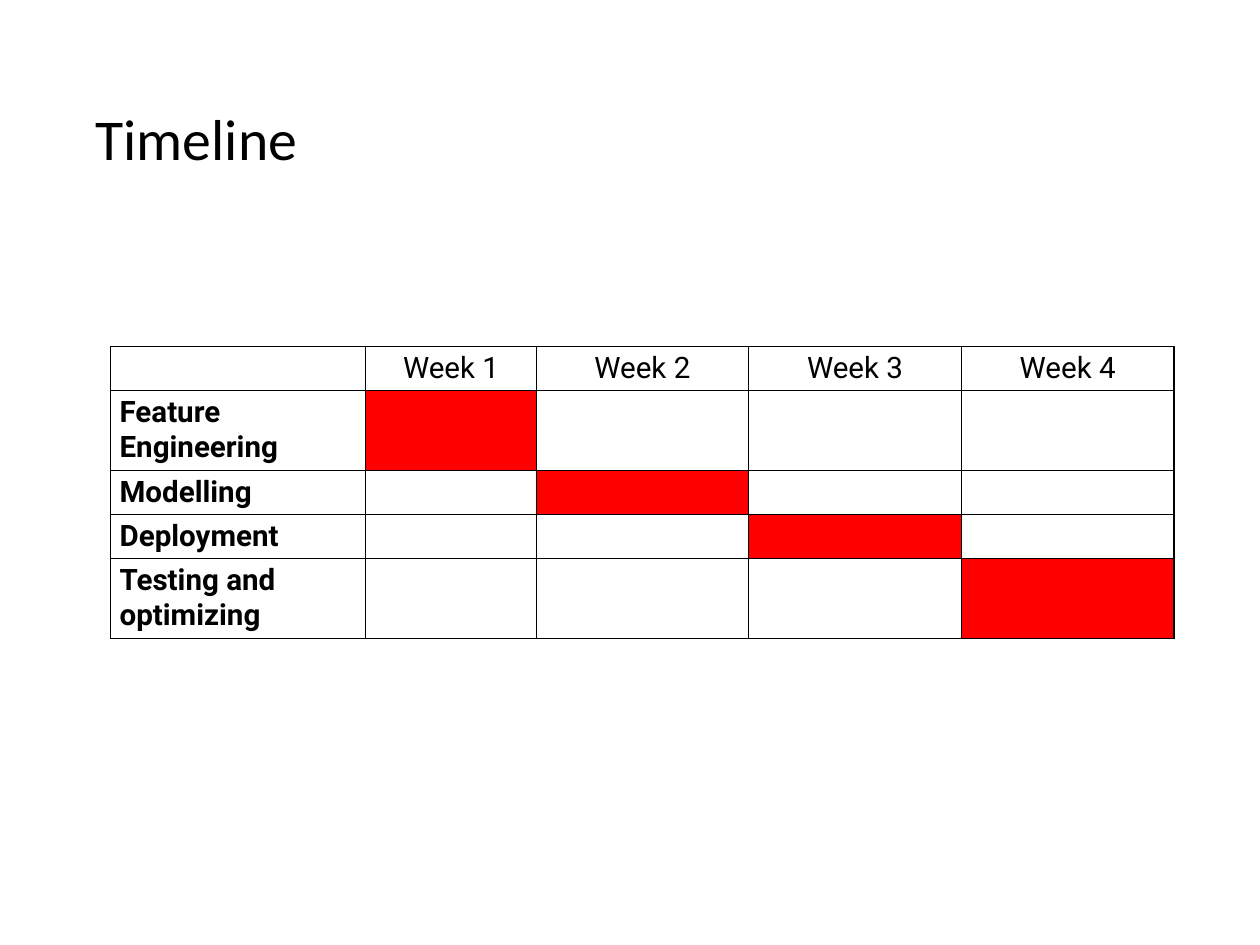
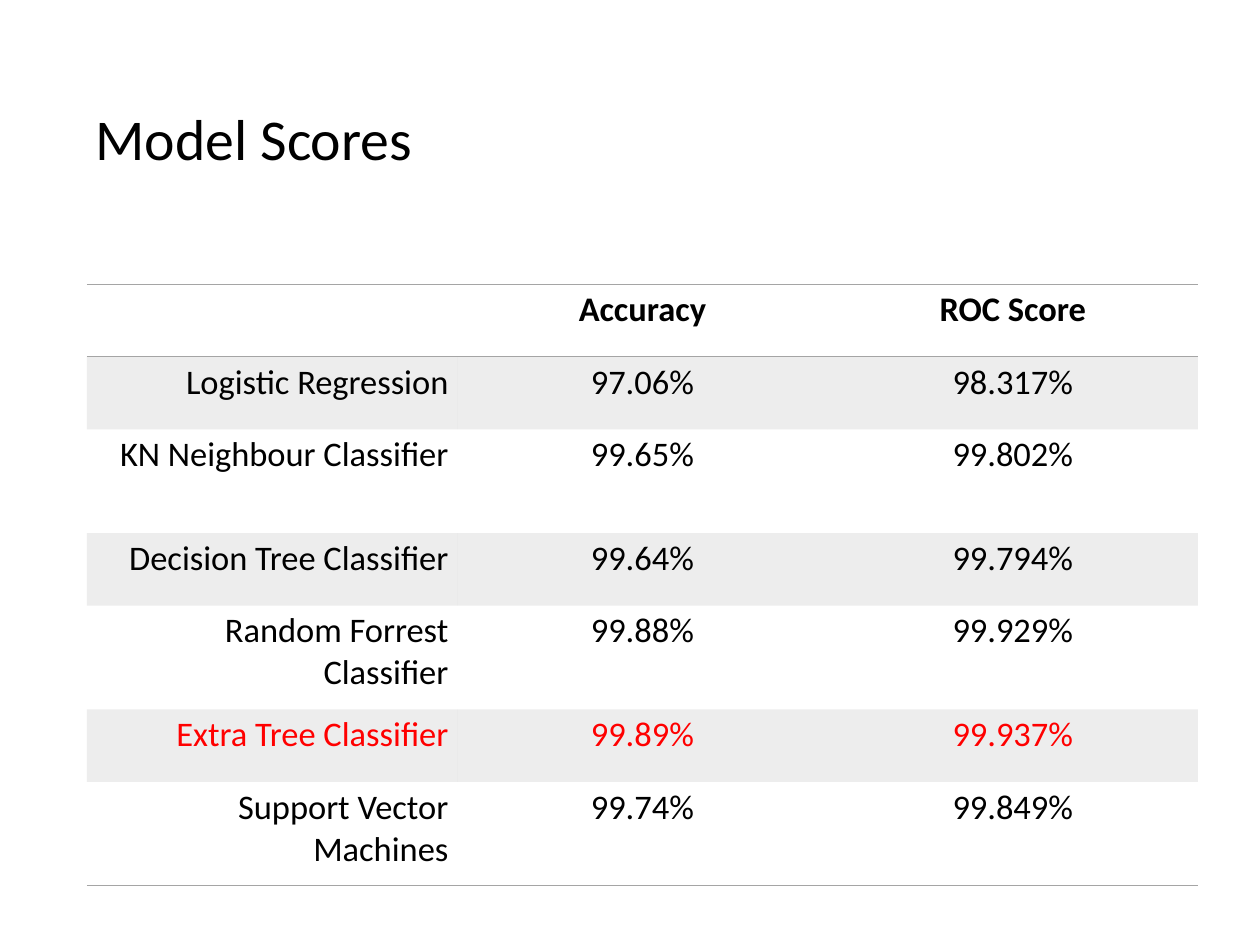
from dataclasses import dataclass

from lxml import etree
from pptx import Presentation
from pptx import util as u
from pptx.dml.color import RGBColor
from pptx.enum import text
from pptx.oxml import ns

NO_STYLE_NO_GRID = "{2D5ABB26-0587-4C30-8999-92F81FD0307C}"
LEFT, CENTER, RIGHT = text.PP_ALIGN.LEFT, text.PP_ALIGN.CENTER, text.PP_ALIGN.RIGHT


@dataclass(frozen=True)
class Theme:
    ink: str = "000000"
    accent: str = "FF0000"
    grey: str = "A5A5A5"
    band_opacity: int = 20
    heading_font: str = "Calibri"
    timeline_font: str = "Roboto"
    title_size: float = 46.9
    timeline_size: float = 24
    score_size: float = 28
    rule_width: float = 1


@dataclass(frozen=True)
class CellStyle:
    font: str
    size: float
    align: text.PP_ALIGN = CENTER
    bold: bool = False
    color: str = "000000"
    fill: str | None = None
    opacity: int = 100
    border: str = "000000"
    sides: str = ""


@dataclass(frozen=True)
class Score:
    model: str
    accuracy: str
    roc: str
    height: float = 0.82
    best: bool = False


THEME = Theme()

WEEKS = ["Week 1", "Week 2", "Week 3", "Week 4"]
TASKS = ["Feature Engineering", "Modelling", "Deployment", "Testing and optimizing"]
SCORES = [
    Score("Logistic Regression", "97.06%", "98.317%"),
    Score("KN Neighbour Classifier", "99.65%", "99.802%", height=1.17),
    Score("Decision Tree Classifier", "99.64%", "99.794%"),
    Score("Random Forrest Classifier", "99.88%", "99.929%", height=1.17),
    Score("Extra Tree Classifier", "99.89%", "99.937%", best=True),
    Score("Support Vector Machines", "99.74%", "99.849%", height=1.17),
]


def add_titled_slide(deck, title: str):
    page = deck.slides.add_slide(deck.slide_layouts[6])
    box = page.shapes.add_textbox(
        u.Inches(0.98), u.Inches(0.57), u.Inches(12.27), u.Inches(2.06))
    frame = box.text_frame
    frame.word_wrap = True
    frame.vertical_anchor = text.MSO_ANCHOR.MIDDLE
    para = frame.paragraphs[0]
    para.text = title
    para.line_spacing = 0.9
    para.font.name = THEME.heading_font
    para.font.size = u.Pt(THEME.title_size)
    para.font.color.rgb = RGBColor.from_string(THEME.ink)
    return page


def add_plain_table(page, left: float, top: float,
                    widths: list[float], heights: list[float]):
    """Add a table that has no banding, grid or fill of its own."""
    frame = page.shapes.add_table(
        len(heights), len(widths), u.Inches(left), u.Inches(top),
        u.Inches(sum(widths)), u.Inches(sum(heights)))
    table = frame.table
    table.first_row = table.horz_banding = False
    style_id = table._tbl.tblPr.find(ns.qn("a:tableStyleId"))
    style_id.text = NO_STYLE_NO_GRID
    for column, width in zip(table.columns, widths):
        column.width = u.Inches(width)
    for row, height in zip(table.rows, heights):
        row.height = u.Inches(height)
    return table


def draw_borders(cell, color: str, sides: str) -> None:
    """Draw the sides named by the letters L, R, T and B."""
    properties = cell._tc.get_or_add_tcPr()
    for side in sides:
        line = etree.SubElement(properties, ns.qn(f"a:ln{side}"),
                                w=str(u.Pt(THEME.rule_width)))
        solid = etree.SubElement(line, ns.qn("a:solidFill"))
        etree.SubElement(solid, ns.qn("a:srgbClr"), val=color)


def fill_cell(cell, color: str | None, opacity: int) -> None:
    if color is None:
        cell.fill.background()
        return
    cell.fill.solid()
    cell.fill.fore_color.rgb = RGBColor.from_string(color)
    if opacity < 100:
        tint = cell._tc.tcPr.find(ns.qn("a:solidFill"))[0]
        etree.SubElement(tint, ns.qn("a:alpha"), val=str(opacity * 1000))


def write_cell(cell, words: str, style: CellStyle) -> None:
    draw_borders(cell, style.border, style.sides)
    fill_cell(cell, style.fill, style.opacity)
    para = cell.text_frame.paragraphs[0]
    if words:
        para.text = words
    para.alignment = style.align
    para.font.name = style.font
    para.font.size = u.Pt(style.size)
    para.font.bold = style.bold
    para.font.color.rgb = RGBColor.from_string(style.color)


def build_timeline(deck) -> None:
    page = add_titled_slide(deck, "Timeline")
    table = add_plain_table(page, 1.25, 3.91, [2.88, 1.92, 2.4, 2.4, 2.4],
                            [0.5, 0.89, 0.5, 0.5, 0.89])
    rows = [["", *WEEKS]] + [[task] + [""] * len(WEEKS) for task in TASKS]
    for r, row in enumerate(rows):
        for c, words in enumerate(row):
            write_cell(table.cell(r, c), words, CellStyle(
                THEME.timeline_font, THEME.timeline_size,
                align=LEFT if c == 0 else CENTER,
                bold=c == 0,
                color=THEME.ink,
                fill=THEME.accent if r == c > 0 else None,
                border=THEME.ink, sides="LRTB"))


def build_scores(deck) -> None:
    page = add_titled_slide(deck, "Model Scores")
    entries = [Score("", "Accuracy", "ROC Score"), *SCORES]
    table = add_plain_table(page, 0.98, 3.21, [4.18] * 3,
                            [entry.height for entry in entries])
    rules = {0: "TB", len(entries) - 1: "B"}
    for r, entry in enumerate(entries):
        for c, words in enumerate((entry.model, entry.accuracy, entry.roc)):
            write_cell(table.cell(r, c), words, CellStyle(
                THEME.heading_font, THEME.score_size,
                align=RIGHT if c == 0 else CENTER,
                bold=r == 0,
                color=THEME.accent if entry.best else THEME.ink,
                fill=THEME.grey if r % 2 else None,
                opacity=THEME.band_opacity,
                border=THEME.grey, sides=rules.get(r, "")))


def main() -> None:
    deck = Presentation()
    deck.slide_width, deck.slide_height = u.Inches(14.22), u.Inches(10.67)
    build_timeline(deck)
    build_scores(deck)
    deck.save("out.pptx")


if __name__ == "__main__":
    main()
